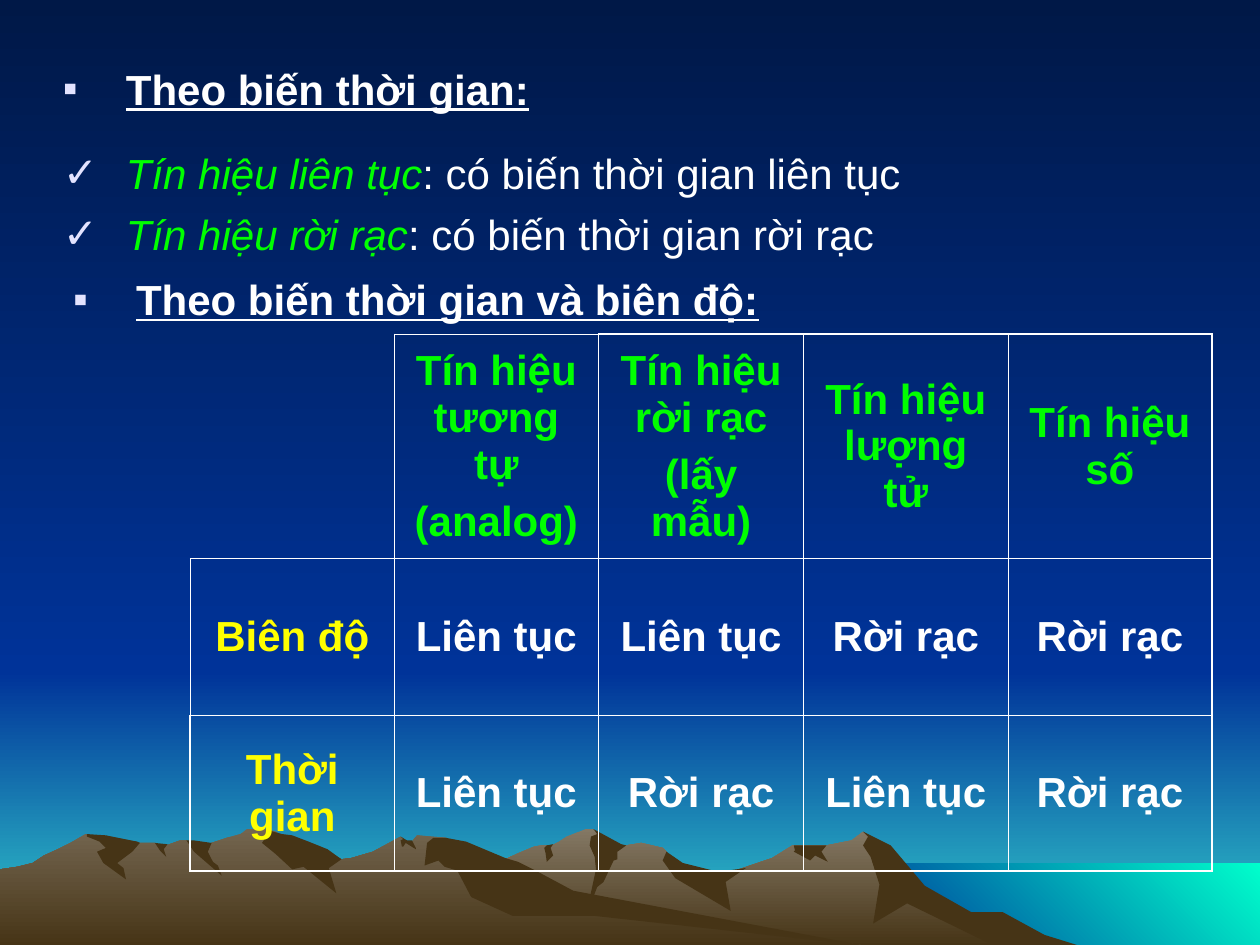
from lxml import etree
from pptx import Presentation
from pptx.dml.color import RGBColor
from pptx.enum.text import MSO_ANCHOR, PP_ALIGN
from pptx.oxml.ns import qn
from pptx.util import Pt

CENTER = PP_ALIGN.CENTER
MIDDLE = MSO_ANCHOR.MIDDLE

PX = 9144  # EMU per px, 100 px to the inch
COLORS = {
    "night": "001847", "blue": "003399", "sea": "33CCCC", "aqua": "00FFCC",
    "rock": "847864", "stone": "73654F", "earth": "463416",
    "white": "FFFFFF", "green": "00FF00", "yellow": "FFFF00", "bullet": "E3E3FF",
}
BASE = {"name": "Arial", "size": Pt(24)}
HEADING = {"bold": True, "underline": True}
TERM = {"italic": True}
CELL = {"bold": True}
THIN, THICK = Pt(0.45), Pt(1.08)

# Mountain outlines, in px
RIGHT_RANGE = [
    (802, 740), (778, 727), (764, 723), (723, 698), (702, 671), (685, 660), (676, 667),
    (656, 671), (629, 671), (613, 681), (566, 697), (536, 690), (529, 676), (526, 673),
    (509, 669), (497, 671), (486, 673), (474, 661), (471, 658), (465, 658), (450, 664),
    (444, 668), (438, 671), (430, 671), (424, 672), (412, 677), (399, 683), (394, 685),
    (355, 698), (327, 709), (277, 739), (258, 751), (821, 751)]
LEFT_RANGE = [
    (690, 751), (667, 748), (432, 712), (354, 665), (331, 663), (327, 668), (323, 668),
    (318, 664), (296, 676), (279, 681), (271, 682), (260, 676), (236, 681), (223, 663),
    (219, 660), (212, 658), (196, 658), (191, 662), (180, 665), (168, 669), (160, 671),
    (148, 667), (143, 667), (132, 671), (128, 671), (123, 669), (111, 669), (94, 671),
    (68, 662), (56, 669), (46, 674), (35, 679), (26, 685), (14, 688), (0, 690), (0, 751)]
RIGHT_SHADES = [
    [(796, 724), (771, 724), (734, 703), (707, 671), (685, 660), (689, 664), (685, 671),
     (691, 680), (698, 702), (693, 733), (720, 717), (792, 752), (858, 751), (829, 742)],
    [(471, 658), (474, 662), (469, 664), (468, 671), (472, 680), (473, 690), (465, 727),
     (474, 704), (479, 700), (487, 683), (490, 682), (490, 676), (497, 671), (493, 670)],
    [(529, 676), (526, 683), (536, 697), (580, 723), (576, 700), (592, 689), (570, 692),
     (542, 685)],
    [(650, 671), (630, 671), (631, 675), (630, 676), (643, 683), (647, 679), (657, 684),
     (652, 676), (656, 671)],
    [(433, 677), (432, 673), (434, 671), (439, 670), (437, 673), (439, 679), (434, 684)],
]
LEFT_SHADES = [
    [(212, 663), (208, 669), (219, 678), (232, 690), (241, 688), (267, 709), (261, 689),
     (271, 682), (260, 674), (245, 668), (232, 663), (224, 662), (213, 659)],
    [(370, 668), (354, 665), (344, 665), (339, 669), (337, 687), (348, 683), (353, 688),
     (363, 691), (374, 712), (407, 727), (472, 727), (690, 751), (683, 750), (455, 707),
     (427, 692), (411, 684), (401, 681)],
    [(318, 667), (320, 666), (318, 664), (323, 667), (327, 667), (330, 673), (330, 674),
     (322, 669), (320, 672), (319, 672)],
    [(154, 667), (168, 669), (165, 676), (169, 684), (173, 687), (176, 695), (154, 676),
     (148, 667)],
    [(133, 670), (130, 674), (132, 680), (127, 675), (123, 669)],
    [(109, 668), (111, 669), (105, 676), (93, 685), (98, 689), (100, 698), (82, 685),
     (77, 676), (84, 673), (79, 668), (69, 664), (69, 662), (84, 663), (94, 665)],
]


def rgb(color):
    return RGBColor.from_string(COLORS[color])


class Deck:
    def __init__(self, width, height):
        self.deck = Presentation()
        self.deck.slide_width, self.deck.slide_height = width * PX, height * PX
        self.page = self.deck.slides.add_slide(self.deck.slide_layouts[6])

    def gradient(self, fill, first, last, angle):
        fill.gradient()
        fill.gradient_angle = angle
        for stop, color, position in zip(fill.gradient_stops, (first, last), (0, 1)):
            stop.color.rgb = rgb(color)
            stop.position = position

    def outline(self, points, first, last=None, angle=270):
        builder = self.page.shapes.build_freeform(*points[0], scale=PX)
        builder.add_line_segments(points[1:], close=True)
        shape = builder.convert_to_shape()
        shape.shadow.inherit = False
        shape.line.fill.background()
        if last:
            self.gradient(shape.fill, first, last, angle)
        else:
            shape.fill.solid()
            shape.fill.fore_color.rgb = rgb(first)

    def panel(self, left, top, right, bottom, *colors, angle=270):
        corners = [(right, bottom), (left, bottom), (left, top), (right, top)]
        self.outline(corners, *colors, angle=angle)

    def span(self, para, text, color, values):
        span = para.add_run()
        span.text = text
        for name, value in {**BASE, **values}.items():
            setattr(span.font, name, value)
        span.font.color.rgb = rgb(color)

    def paragraph(self, frame, index):
        para = frame.add_paragraph() if index else frame.paragraphs[0]
        if index:
            para.space_before = Pt(6)
        return para

    def bullets(self, left, top, width, height, mark, lines):
        box = self.page.shapes.add_textbox(left * PX, top * PX, width * PX, height * PX)
        frame = box.text_frame
        frame.word_wrap = True
        for side in ("left", "top", "right", "bottom"):
            setattr(frame, f"margin_{side}", 0)
        for index, spans in enumerate(lines):
            para = self.paragraph(frame, index)
            props = para._p.get_or_add_pPr()
            props.set("marL", str(50 * PX))
            props.set("indent", str(-50 * PX))
            color = etree.SubElement(props, qn("a:buClr"))
            etree.SubElement(color, qn("a:srgbClr"), val=COLORS["bullet"])
            etree.SubElement(props, qn("a:buFont"), typeface="Arial")
            etree.SubElement(props, qn("a:buChar"), char=mark)
            for span in spans:
                self.span(para, *span)

    def border(self, cell, side, width):
        line = etree.SubElement(cell._tc.get_or_add_tcPr(), qn(f"a:ln{side}"))
        line.set("w", str(width or 0))
        if width:
            fill = etree.SubElement(line, qn("a:solidFill"))
            etree.SubElement(fill, qn("a:srgbClr"), val=COLORS["white"])
        else:
            etree.SubElement(line, qn("a:noFill"))

    def table(self, left, top, widths, heights, rows):
        table = self.page.shapes.add_table(
            len(heights), len(widths), left * PX, top * PX,
            sum(widths) * PX, sum(heights) * PX).table
        table.first_row = table.horz_banding = False
        for column, width in zip(table.columns, widths):
            column.width = width * PX
        for row, height in zip(table.rows, heights):
            row.height = height * PX
        last_row, last_col = len(heights) - 1, len(widths) - 1
        for r, texts in enumerate(rows):
            for c, text in enumerate(texts):
                cell = table.cell(r, c)
                corner = r == c == 0
                thick = {"L": r == last_row and c == 0, "R": c == last_col,
                         "T": r == 0 and c > 1, "B": r == last_row}
                for side, heavy in thick.items():
                    hidden = corner and side in "LT"
                    self.border(cell, side, None if hidden else THICK if heavy else THIN)
                cell.fill.background()
                cell.vertical_anchor = MIDDLE
                color = "green" if r == 0 else "yellow" if c == 0 else "white"
                for index, line in enumerate(text.splitlines()):
                    para = self.paragraph(cell.text_frame, index)
                    para.alignment = CENTER
                    self.span(para, line, color, CELL)


def main():
    deck = Deck(1000, 750)

    # Sky, sea and light at the lower right
    deck.gradient(deck.page.background.fill, "night", "blue", 270)
    deck.panel(0, 533, 1000, 750, "blue", "sea")
    deck.panel(0, 0, 1000, 533, "night", "blue")
    deck.panel(683, 685, 1000, 752, "blue", "aqua", angle=45)

    # Mountains
    for ridge, top_color, shades in ((RIGHT_RANGE, "rock", RIGHT_SHADES),
                                     (LEFT_RANGE, "stone", LEFT_SHADES)):
        deck.outline(ridge, top_color, "earth")
        for shade in shades:
            deck.outline(shade, "earth")

    # Headings and definitions
    deck.bullets(50, 50, 417, 42, "▪", [[("Theo biến thời gian:", "white", HEADING)]])
    deck.bullets(50, 117, 683, 92, "✓", [
        [(f"Tín hiệu {kind}", "green", TERM), (f": có biến thời gian {kind}", "white", {})]
        for kind in ("liên tục", "rời rạc")])
    deck.bullets(58, 217, 658, 42, "▪",
                 [[("Theo biến thời gian và biên độ:", "white", HEADING)]])

    # Signal classes
    deck.table(151, 265, [162, 162, 163, 162, 162], [178, 124, 124], [
        ["", "Tín hiệu tương tự\n(analog)", "Tín hiệu rời rạc\n(lấy mẫu)",
         "Tín hiệu lượng tử", "Tín hiệu số"],
        ["Biên độ", "Liên tục", "Liên tục", "Rời rạc", "Rời rạc"],
        ["Thời gian", "Liên tục", "Rời rạc", "Liên tục", "Rời rạc"],
    ])
    deck.deck.save("out.pptx")


if __name__ == "__main__":
    main()
